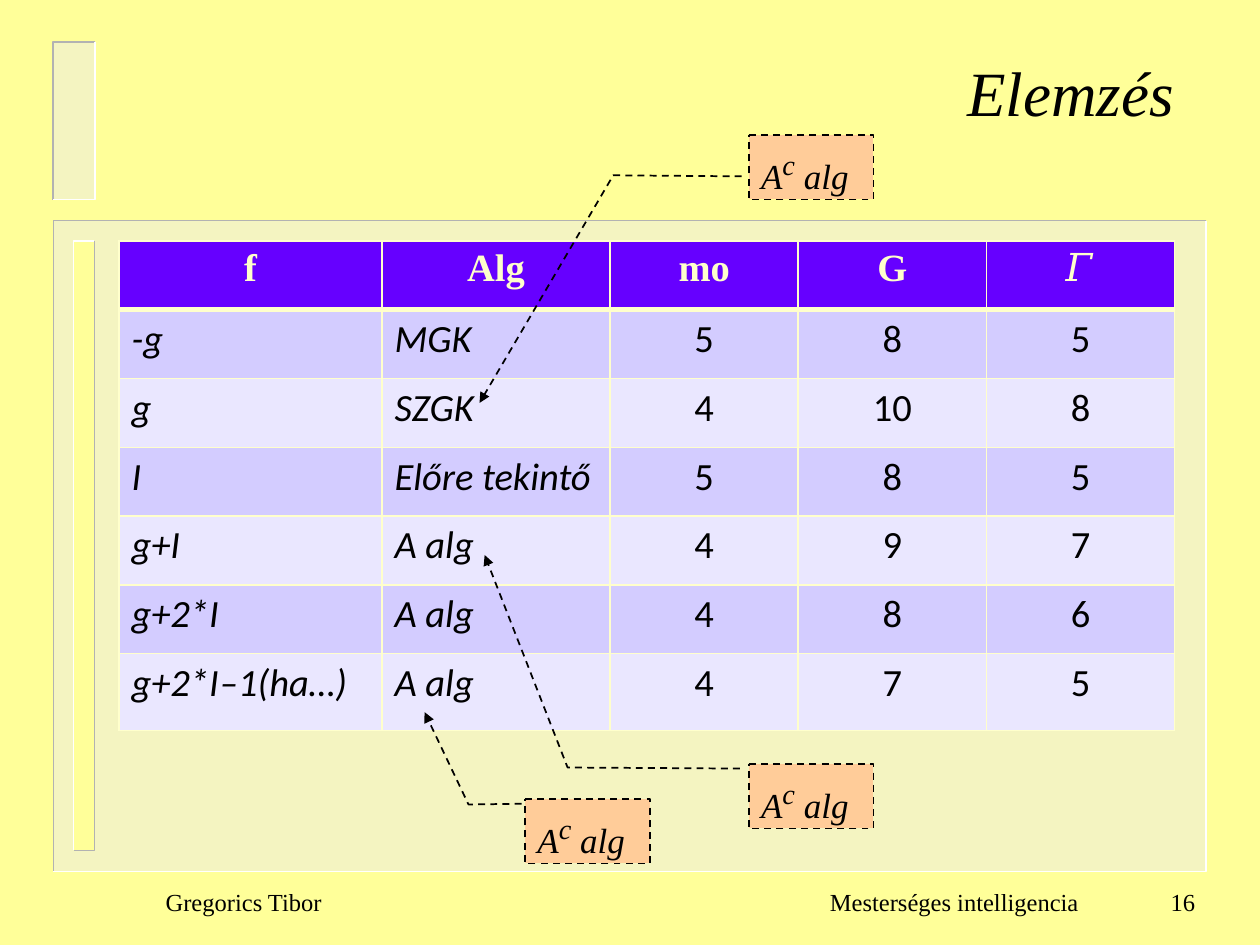
from dataclasses import dataclass

from lxml.etree import SubElement
from pptx import Presentation
from pptx.dml.color import RGBColor
from pptx.enum.dml import MSO_LINE
from pptx.enum.shapes import MSO_SHAPE
from pptx.enum.text import MSO_ANCHOR, PP_ALIGN
from pptx.oxml.ns import qn
from pptx.util import Pt


@dataclass(frozen=True)
class Theme:
    page: str = "FFFF99"
    panel: str = "EAEAEA"
    shade: str = "B2B2B2"
    light: str = "FFFFFF"
    ink: str = "000000"
    header: str = "6600FF"
    cream: str = "FFFFCC"
    bands: tuple = ("D3CCFF", "EAE7FF")
    callout: str = "FFCC99"
    serif: str = "Times New Roman"
    sans: str = "Calibri"
    title_size: int = 36
    table_size: int = 22
    callout_size: int = 20
    exponent_size: int = 28
    footer_size: int = 14


THEME = Theme()

HEADINGS = ("f", "Alg", "mo", "G", "𝛤")
RESULTS = (
    ("-g", "MGK", 5, 8, 5),
    ("g", "SZGK", 4, 10, 8),
    ("I", "Előre tekintő", 5, 8, 5),
    ("g+I", "A alg", 4, 9, 7),
    ("g+2*I", "A alg", 4, 8, 6),
    ("g+2*I‒1(ha…)", "A alg", 4, 7, 5),
)


def rgb(code):
    return RGBColor.from_string(code)


def style(run, size, face=THEME.serif, color=THEME.ink, bold=False, italic=False):
    font = run.font
    font.size, font.name = Pt(size), face
    font.bold, font.italic = bold, italic
    font.color.rgb = rgb(color)


def paint(shape, color, opacity=100):
    shape.shadow.inherit = False
    shape.fill.solid()
    shape.fill.fore_color.rgb = rgb(color)
    if opacity < 100:
        color_node = shape._element.spPr.find(qn("a:solidFill"))[0]
        SubElement(color_node, qn("a:alpha"), val=str(opacity * 1000))


def add_edge(slide, points, color):
    """Draw an open outline through the points."""
    start, *rest = [(Pt(x), Pt(y)) for x, y in points]
    builder = slide.shapes.build_freeform(*start)
    builder.add_line_segments(rest, close=False)
    edge = builder.convert_to_shape()
    edge.shadow.inherit = False
    edge.fill.background()
    edge.line.color.rgb = rgb(color)
    edge.line.width = Pt(1)


def add_bevel(slide, box, fill, top_left, bottom_right, opacity=100):
    """Draw a panel with one colour on its upper edges and one on its lower."""
    left, top, width, height = box
    right, bottom = left + width, top + height
    panel = slide.shapes.add_shape(MSO_SHAPE.RECTANGLE, *map(Pt, box))
    paint(panel, fill, opacity)
    panel.line.fill.background()
    add_edge(slide, [(right, top), (left, top), (left, bottom)], top_left)
    add_edge(slide, [(right, top), (right, bottom), (left, bottom)], bottom_right)


def add_backdrop(slide):
    slide.background.fill.solid()
    slide.background.fill.fore_color.rgb = rgb(THEME.page)
    raised = (THEME.panel, THEME.shade, THEME.light, 50)
    add_bevel(slide, (30.5, 126, 658.8, 372), *raised)
    add_bevel(slide, (42, 137.8, 12, 348.2), THEME.page, THEME.light, THEME.shade)
    add_bevel(slide, (30.2, 24, 24, 90), *raised)


def place_title(slide, box):
    title = slide.shapes.title
    title.left, title.top, title.width, title.height = map(Pt, box)
    frame = title.text_frame
    frame.text = "Elemzés"
    frame.vertical_anchor = MSO_ANCHOR.TOP
    heading = frame.paragraphs[0]
    heading.alignment = PP_ALIGN.RIGHT
    style(heading.runs[0], THEME.title_size, italic=True)


def add_borders(cell, top, bottom):
    properties = cell._tc.get_or_add_tcPr()
    for side, width in (("L", 1), ("R", 1), ("T", top), ("B", bottom)):
        line = SubElement(properties, qn(f"a:ln{side}"), w=str(Pt(width)))
        SubElement(SubElement(line, qn("a:solidFill")), qn("a:srgbClr"), val=THEME.cream)


def add_results(slide, box):
    """Fill the box with the table; numbers share the width the labels leave."""
    label_widths = (150.3, 130.3)
    number_width = (box[2] - sum(label_widths)) / 3
    row_height = 39.3
    rows = (HEADINGS, *RESULTS)
    table = slide.shapes.add_table(len(rows), len(HEADINGS), *map(Pt, box)).table
    for column, width in zip(table.columns, (*label_widths, *[number_width] * 3)):
        column.width = Pt(width)
    for row in table.rows:
        row.height = Pt(row_height)
    table.rows[len(rows) - 1].height = Pt(box[3] - row_height * (len(rows) - 1))

    for r, values in enumerate(rows):
        for c, value in enumerate(values):
            cell = table.cell(r, c)
            add_borders(cell, 3 if r == 1 else 1, 3 if r == 0 else 1)
            cell.fill.solid()
            cell.fill.fore_color.rgb = rgb(THEME.bands[(r - 1) % 2] if r else THEME.header)
            cell.text_frame.text = str(value)
            entry = cell.text_frame.paragraphs[0]
            is_label = r > 0 and c < len(label_widths)
            entry.alignment = PP_ALIGN.LEFT if is_label else PP_ALIGN.CENTER
            if r == 0:
                style(entry.runs[0], THEME.table_size, color=THEME.cream, bold=True)
            else:
                style(entry.runs[0], THEME.table_size, THEME.sans, italic=is_label)


def add_callout(slide, box, leader):
    """Add an 'Aᶜ alg' note; leader holds start, knee and tip as (x, y) on the slide."""
    left, top, width, height = box
    note = slide.shapes.add_shape(MSO_SHAPE.LINE_CALLOUT_2, *map(Pt, box))
    for i, (x, y) in enumerate(leader):
        note.adjustments[2 * i] = (y - top) / height
        note.adjustments[2 * i + 1] = (x - left) / width
    paint(note, THEME.callout)
    note.line.color.rgb = rgb(THEME.ink)
    note.line.width = Pt(1)
    note.line.dash_style = MSO_LINE.DASH
    SubElement(note.line._get_or_add_ln(), qn("a:tailEnd"), type="triangle")

    frame = note.text_frame
    frame.vertical_anchor = MSO_ANCHOR.TOP
    label = frame.paragraphs[0]
    label.alignment = PP_ALIGN.LEFT
    label.space_before = label.space_after = Pt(3)
    for text, size in (("A", THEME.callout_size), ("c", THEME.exponent_size),
                       (" alg", THEME.callout_size)):
        run = label.add_run()
        run.text = text
        style(run, size, italic=True)
    label.runs[1].font._element.set("baseline", "30000")


def add_footer(slide, box):
    left, top, width, height = box
    parts = (
        ("Gregorics Tibor", 0, 200, PP_ALIGN.LEFT),
        ("Mesterséges intelligencia", 330, 206, PP_ALIGN.RIGHT),
        ("16", width - 50, 50, PP_ALIGN.RIGHT),
    )
    for text, offset, part_width, alignment in parts:
        part = slide.shapes.add_textbox(Pt(left + offset), Pt(top), Pt(part_width), Pt(height))
        frame = part.text_frame
        frame.word_wrap = True
        frame.vertical_anchor = MSO_ANCHOR.MIDDLE
        frame.text = text
        frame.paragraphs[0].alignment = alignment
        style(frame.paragraphs[0].runs[0], THEME.footer_size)


def main():
    deck = Presentation()
    deck.slide_width, deck.slide_height = Pt(720), Pt(540)
    slide = deck.slides.add_slide(deck.slide_layouts[5])
    add_backdrop(slide)
    add_footer(slide, (87.6, 497.5, 602.4, 36))
    add_results(slide, (68, 137.7, 603.3, 279.8))
    place_title(slide, (66, 27, 612, 87))
    note_size = (71.3, 37)
    add_callout(slide, (427.8, 436.4, *note_size), ((422.8, 439.2), (324.3, 438.6), (276.9, 317.1)))
    add_callout(slide, (300, 456.4, *note_size), ((298, 459.3), (267.7, 459.7), (242.6, 406.9)))
    add_callout(slide, (427.8, 77, *note_size), ((423.8, 100.8), (350.4, 100.2), (274, 230.3)))
    deck.save("out.pptx")


if __name__ == "__main__":
    main()
